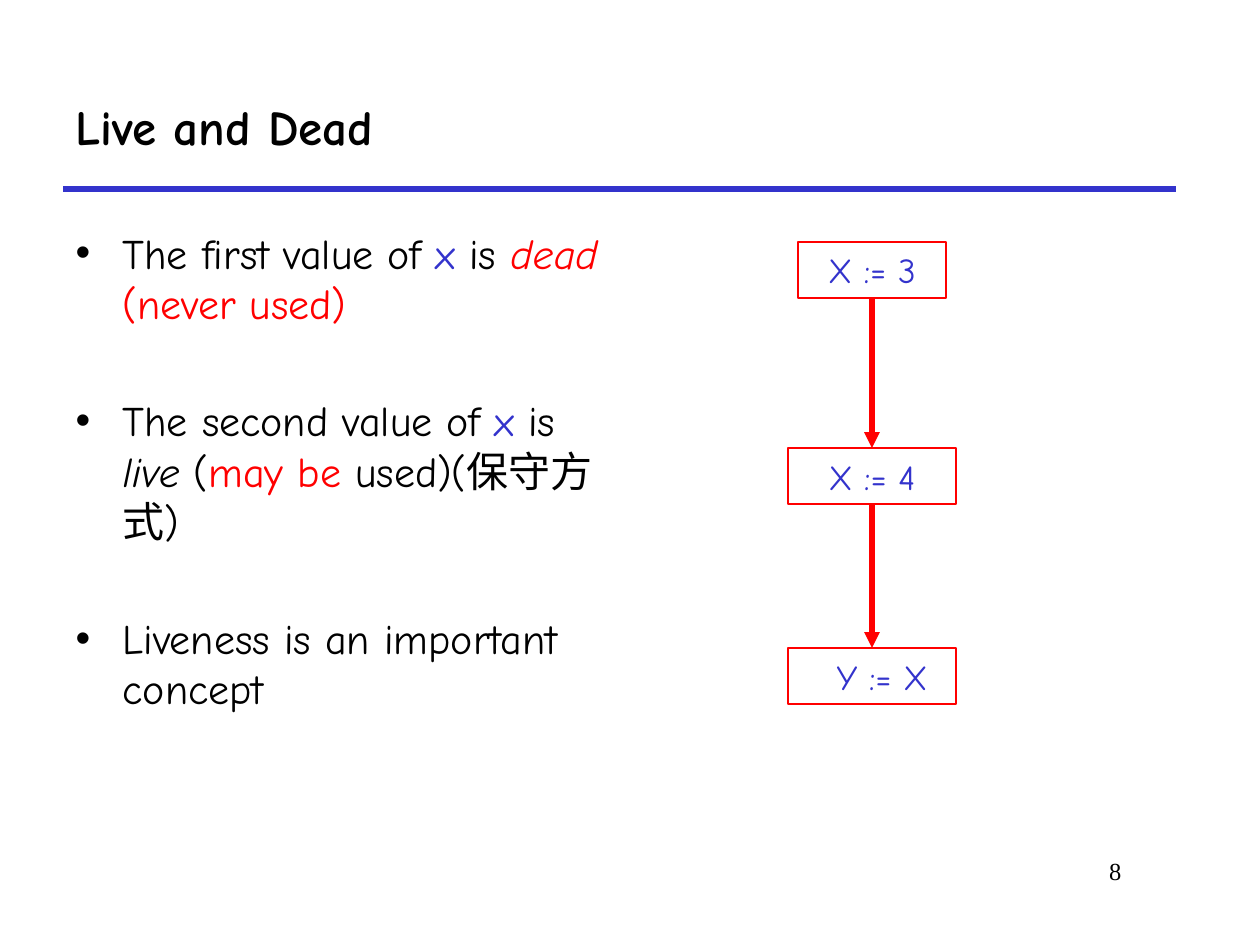
import dataclasses
import lxml.etree
import pptx
import pptx.dml.color
import pptx.enum.shapes
import pptx.enum.text
import pptx.oxml.ns
import pptx.util

ALIGN = pptx.enum.text.PP_ALIGN
ANCHOR = pptx.enum.text.MSO_ANCHOR


@dataclasses.dataclass(frozen=True)
class Theme:
    black: str = "000000"
    blue: str = "3333CC"
    red: str = "FF0000"
    face: str = "Comic Neue"
    serif: str = "Times New Roman"
    head: int = 28
    body: int = 24
    code: int = 20
    page: int = 14
    thin: float = 0.75
    thick: int = 3
    gap: int = 38


THEME = Theme()
INDENT = 47
MID = 872
BOX_TALL = 56
NODES = [
    ("X := 3", 242, 148, 0),
    ("X := 4", 448, 168, 0),
    ("Y := X", 648, 168, 20),
]
BULLETS = [
    [
        ("The first value of ", {}),
        ("x", {"color": THEME.blue}),
        (" is ", {}),
        ("dead ", {"color": THEME.red, "italic": True}),
        ("(never used)", {"color": THEME.red}),
    ],
    [
        ("The second value of ", {}),
        ("x ", {"color": THEME.blue}),
        ("is ", {}),
        ("live", {"italic": True}),
        (" (", {}),
        ("may be", {"color": THEME.red}),
        (" used)(保守方式)", {}),
    ],
    [("Liveness is an important concept", {})],
]


def px(count):
    return pptx.util.Emu(round(count * 914400 / 126))


def rgb(code):
    return pptx.dml.color.RGBColor.from_string(code)


def apply(item, values):
    for name, value in values.items():
        setattr(item, name, value)


def add_tag(parent, name, **values):
    return lxml.etree.SubElement(parent, pptx.oxml.ns.qn(name), values)


def place(shape, left, top, width, height):
    apply(shape, {"left": px(left), "top": px(top),
                  "width": px(width), "height": px(height)})


def set_frame(frame, anchor):
    apply(frame, {"word_wrap": True, "vertical_anchor": anchor,
                  "auto_size": pptx.enum.text.MSO_AUTO_SIZE.NONE})


def add_run(para, text, size, color=THEME.black, face=THEME.face,
            bold=False, italic=False):
    run = para.add_run()
    run.text = text
    apply(run.font, {"name": face, "size": pptx.util.Pt(size),
                     "bold": bold, "italic": italic})
    run.font.color.rgb = rgb(color)


def set_title(shape, text):
    place(shape, 63, 63, 1113, 126)
    set_frame(shape.text_frame, ANCHOR.MIDDLE)
    para = shape.text_frame.paragraphs[0]
    para.alignment = ALIGN.LEFT
    add_run(para, text, THEME.head, bold=True)


def set_list(shape, items):
    place(shape, 63, 221, 562, 609)
    frame = shape.text_frame
    set_frame(frame, ANCHOR.TOP)
    for rank, runs in enumerate(items):
        para = frame.add_paragraph() if rank else frame.paragraphs[0]
        para.space_before = pptx.util.Pt(THEME.gap if rank else 0)
        props = para._p.get_or_add_pPr()
        props.set("marL", str(px(INDENT)))
        props.set("indent", str(-px(INDENT)))
        add_tag(props, "a:buChar", char="•")
        for text, style in runs:
            add_run(para, text, THEME.body, **style)


def add_page(slide, text):
    box = slide.shapes.add_textbox(px(872), px(850), px(262), px(63))
    set_frame(box.text_frame, ANCHOR.TOP)
    para = box.text_frame.paragraphs[0]
    para.alignment = ALIGN.RIGHT
    add_run(para, text, THEME.page, face=THEME.serif)


def add_node(slide, text, top, width, inset):
    box = slide.shapes.add_shape(
        pptx.enum.shapes.MSO_SHAPE.RECTANGLE,
        px(MID - width // 2), px(top), px(width), px(BOX_TALL))
    box.shadow.inherit = False
    box.fill.background()
    box.line.color.rgb = rgb(THEME.red)
    box.line.width = pptx.util.Pt(THEME.thin)
    set_frame(box.text_frame, ANCHOR.MIDDLE)
    para = box.text_frame.paragraphs[0]
    para.alignment = ALIGN.CENTER
    para._p.get_or_add_pPr().set("marL", str(px(inset)))
    add_run(para, text, THEME.code, THEME.blue)
    return box


def add_line(slide, start, end, color):
    line = slide.shapes.add_connector(
        pptx.enum.shapes.MSO_CONNECTOR.STRAIGHT, *map(px, start + end))
    line.line.color.rgb = rgb(color)
    line.line.width = pptx.util.Pt(THEME.thick)
    add_tag(line._element.spPr, "a:effectLst")
    return line


def add_arrow(slide, upper, lower):
    line = add_line(slide, (MID, 0), (MID, 0), THEME.red)
    line.begin_connect(upper, 2)
    line.end_connect(lower, 0)
    add_tag(line.line._get_or_add_ln(), "a:tailEnd", type="triangle")


def main():
    deck = pptx.Presentation()
    apply(deck, {"slide_width": px(1260), "slide_height": px(945)})
    slide = deck.slides.add_slide(deck.slide_layouts[1])
    add_line(slide, (63, 189), (1176, 189), THEME.blue)
    add_page(slide, "8")
    set_title(slide.shapes.title, "Live and Dead")
    set_list(slide.placeholders[1], BULLETS)
    boxes = [add_node(slide, *node) for node in NODES]
    for upper, lower in zip(boxes, boxes[1:]):
        add_arrow(slide, upper, lower)
    deck.save("out.pptx")


if __name__ == "__main__":
    main()
